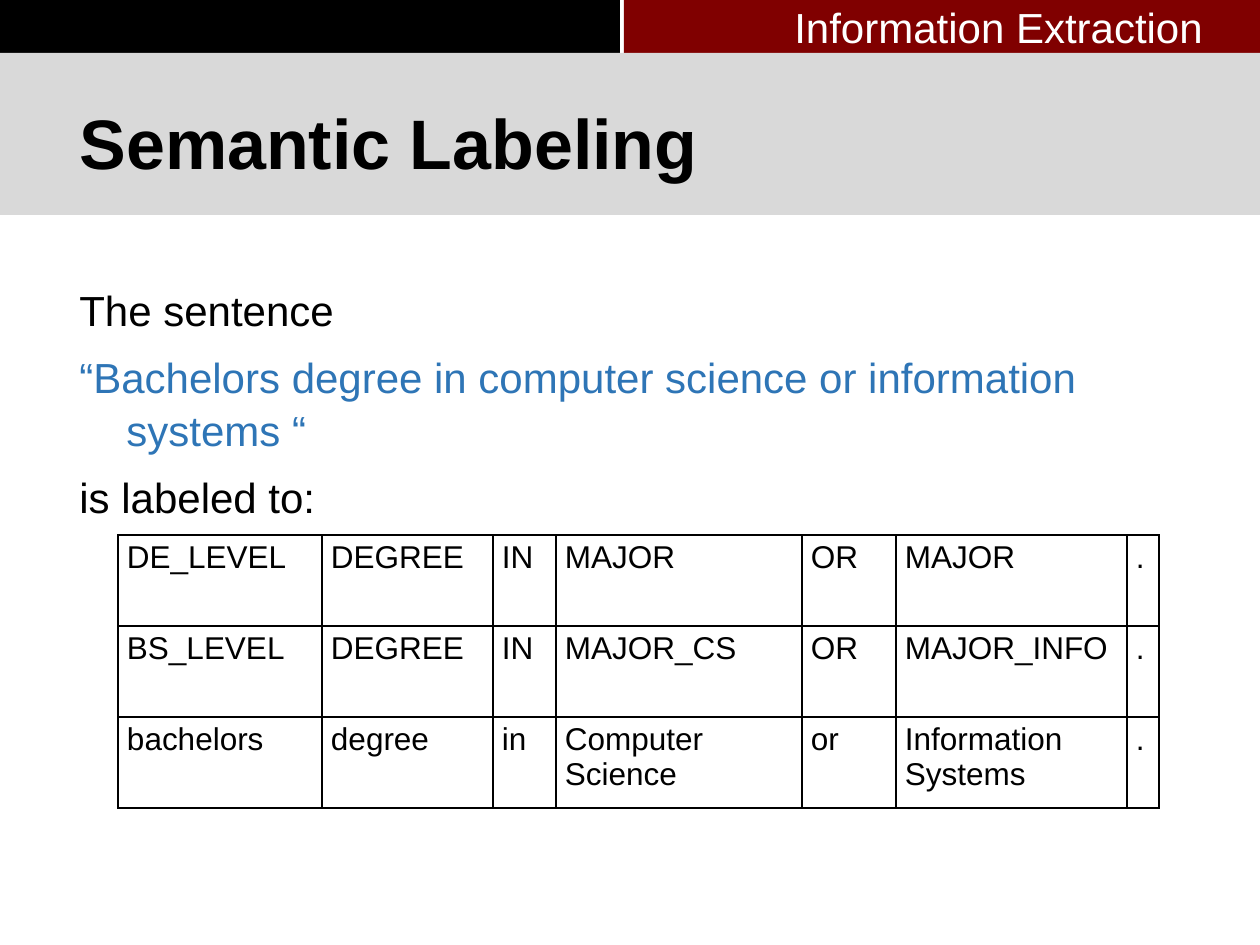
from lxml.etree import SubElement
from pptx import Presentation
from pptx.dml.color import RGBColor
from pptx.enum.shapes import MSO_SHAPE
from pptx.enum.text import MSO_ANCHOR, MSO_AUTO_SIZE, PP_ALIGN
from pptx.oxml.ns import qn
from pptx.util import Pt

PX = 914400 / 126
COLORS = {"black": "000000", "red": "800000", "gray": "D9D9D9",
          "white": "FFFFFF", "blue": "2E75B6"}

SENTENCE = [
    ("The sentence", "black"),
    ("“Bachelors degree in computer science or information systems “", "blue"),
    ("is labeled to:", "black"),
]
COL_WIDTHS = [204, 171, 63, 246, 94, 231, 32]
ROW_HEIGHT = 91
LABELS = [
    ["DE_LEVEL", "DEGREE", "IN", "MAJOR", "OR", "MAJOR", "."],
    ["BS_LEVEL", "DEGREE", "IN", "MAJOR_CS", "OR", "MAJOR_INFO", "."],
    ["bachelors", "degree", "in", "Computer Science", "or",
     "Information Systems", "."],
]


def px(n):
    return round(n * PX)


def rgb(name):
    return RGBColor.from_string(COLORS[name])


def style(p, size, color, bold=False):
    for r in p.runs:
        r.font.name = "Arial"
        r.font.size = Pt(size)
        r.font.bold = bold
        r.font.color.rgb = rgb(color)


def add_band(s, x, y, w, h, color):
    sp = s.shapes.add_shape(MSO_SHAPE.RECTANGLE, px(x), px(y), px(w), px(h))
    sp.shadow.inherit = False
    sp.fill.solid()
    sp.fill.fore_color.rgb = rgb(color)
    sp.line.fill.background()


def add_header(s, x, y, w, h):
    # Two-part bar, with the topic on the right
    split, gap = 620, 4
    add_band(s, x, y, split, h, "black")
    add_band(s, x + split + gap, y, w - split - gap, h, "red")
    tf = s.shapes.add_textbox(px(x + 782), px(y - 5), px(438), px(63)).text_frame
    tf.word_wrap = False
    tf.auto_size = MSO_AUTO_SIZE.SHAPE_TO_FIT_TEXT
    tf.text = "Information Extraction"
    style(tf.paragraphs[0], 24, "white")


def add_title(s, x, y, w, h):
    add_band(s, x, y, w, h, "gray")
    title = s.shapes.title
    title.left, title.top = px(x + 67), px(y + 20)
    title.width, title.height = px(1012), px(137)
    # Bring the title in front of its band
    s.shapes._spTree.append(title._element)
    tf = title.text_frame
    tf.text = "Semantic Labeling"
    tf.auto_size = MSO_AUTO_SIZE.NONE
    tf.vertical_anchor = MSO_ANCHOR.MIDDLE
    p = tf.paragraphs[0]
    p.alignment = PP_ALIGN.LEFT
    style(p, 40, "black", bold=True)


def add_sentence(s, x, y, w, h):
    tf = s.shapes.add_textbox(px(x), px(y), px(w), px(h)).text_frame
    tf.word_wrap = True
    for i, (text, color) in enumerate(SENTENCE):
        p = tf.add_paragraph() if i else tf.paragraphs[0]
        p.text = text
        p.line_spacing = 1.05
        if i:
            p.space_before = Pt(8)
        # Hanging indent
        pPr = p._p.get_or_add_pPr()
        pPr.set("marL", str(px(47)))
        pPr.set("indent", str(px(-47)))
        style(p, 24, color)


def add_borders(cell):
    tcPr = cell._tc.get_or_add_tcPr()
    for i, side in enumerate(("lnL", "lnR", "lnT", "lnB")):
        ln = tcPr.makeelement(qn(f"a:{side}"), {"w": str(Pt(1))})
        fill = SubElement(ln, qn("a:solidFill"))
        SubElement(fill, qn("a:srgbClr"), val=COLORS["black"])
        tcPr.insert(i, ln)


def add_label_table(s, x, y):
    rows, cols = len(LABELS), len(COL_WIDTHS)
    table = s.shapes.add_table(rows, cols, px(x), px(y), px(sum(COL_WIDTHS)),
                               px(rows * ROW_HEIGHT)).table
    table.first_row = table.horz_banding = False
    for column, width in zip(table.columns, COL_WIDTHS):
        column.width = px(width)
    for row, texts in zip(table.rows, LABELS):
        row.height = px(ROW_HEIGHT)
        for cell, text in zip(row.cells, texts):
            cell.margin_left = cell.margin_right = px(9)
            cell.margin_top = cell.margin_bottom = px(5)
            cell.fill.background()
            cell.text = text
            style(cell.text_frame.paragraphs[0], 18, "black")
            add_borders(cell)


def main():
    prs = Presentation()
    prs.slide_width, prs.slide_height = px(1260), px(945)
    s = prs.slides.add_slide(prs.slide_layouts[5])
    add_header(s, 0, 0, 1260, 53)
    add_title(s, 0, 53, 1260, 162)
    add_sentence(s, 67, 276, 1134, 254)
    add_label_table(s, 118, 535)
    prs.save("out.pptx")


if __name__ == "__main__":
    main()
